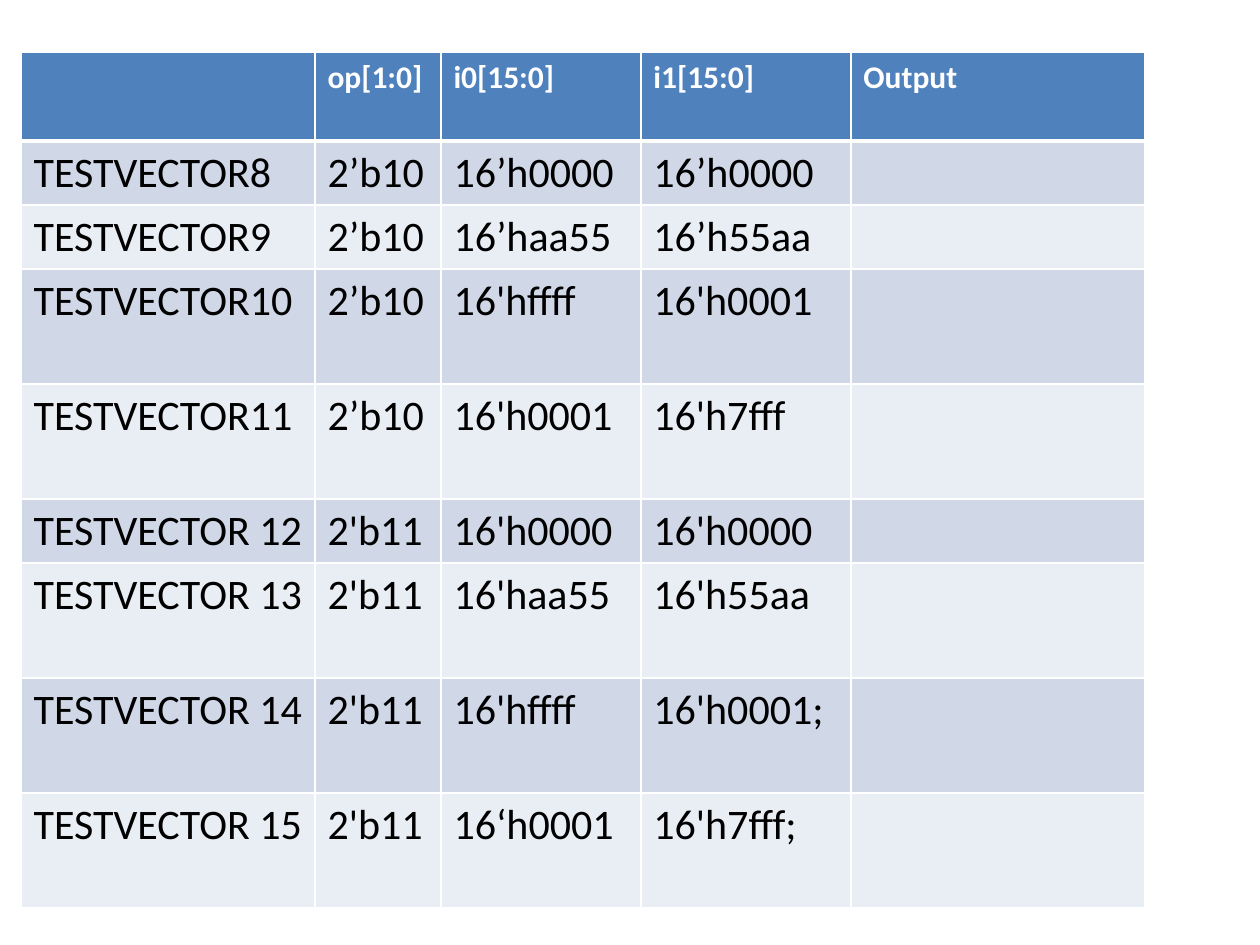
import pptx
import pptx.dml.color
import pptx.oxml.ns
import pptx.util
from lxml import etree

PX = 914400 // 126
WHITE = pptx.dml.color.RGBColor(0xFF, 0xFF, 0xFF)
BLACK = pptx.dml.color.RGBColor(0x00, 0x00, 0x00)
HEADER_BLUE = pptx.dml.color.RGBColor(0x4F, 0x81, 0xBD)
BANDS = [pptx.dml.color.RGBColor(0xD0, 0xD8, 0xE8),
         pptx.dml.color.RGBColor(0xE9, 0xED, 0xF4)]


def write(frame, text, size=24, color=BLACK, bold=False):
    span = frame.paragraphs[0].add_run()
    span.text = text
    span.font.name = "Calibri"
    span.font.size = pptx.util.Pt(size)
    span.font.color.rgb = color
    span.font.bold = bold


def add_border(cell, side, color=WHITE, width=1):
    qn = pptx.oxml.ns.qn
    line = etree.SubElement(cell._tc.get_or_add_tcPr(), qn(f"a:ln{side}"),
                            w=str(pptx.util.Pt(width)))
    fill = etree.SubElement(line, qn("a:solidFill"))
    etree.SubElement(fill, qn("a:srgbClr"), val=str(color))


# Deck and page
deck = pptx.Presentation()
deck.slide_width = pptx.util.Inches(10)
deck.slide_height = pptx.util.Inches(7.5)
page = deck.slides.add_slide(deck.slide_layouts[6])

# Test vectors: name, opcode, both inputs, and an output column left to fill in
rows = [
    ["", "op[1:0]", "i0[15:0]", "i1[15:0]", "Output"],
    ["TESTVECTOR8", "2’b10", "16’h0000", "16’h0000", ""],
    ["TESTVECTOR9", "2’b10", "16’haa55", "16’h55aa", ""],
    ["TESTVECTOR10", "2’b10", "16'hffff", "16'h0001", ""],
    ["TESTVECTOR11", "2’b10", "16'h0001", "16'h7fff", ""],
    ["TESTVECTOR 12", "2'b11", "16'h0000", "16'h0000", ""],
    ["TESTVECTOR 13", "2'b11", "16'haa55", "16'h55aa", ""],
    ["TESTVECTOR 14", "2'b11", "16'hffff", "16'h0001;", ""],
    ["TESTVECTOR 15", "2'b11", "16‘h0001", "16'h7fff;", ""],
]
column_widths = [294, 126, 200, 210, 294]
SHORT, TALL = 64, 115
row_heights = [89, SHORT, SHORT, TALL, TALL, SHORT, TALL, TALL, TALL]

# Table grid
table = page.shapes.add_table(
    len(rows), len(column_widths), 21 * PX, 52 * PX,
    sum(column_widths) * PX, sum(row_heights) * PX).table
for column, width in zip(table.columns, column_widths):
    column.width = width * PX
for row, height in zip(table.rows, row_heights):
    row.height = height * PX

# Cells: white rules, a blue header, then alternating bands
for r, texts in enumerate(rows):
    for c, text in enumerate(texts):
        cell = table.cell(r, c)
        for side in "LRTB":
            header_rule = (r, side) in [(0, "B"), (1, "T")]
            add_border(cell, side, width=3 if header_rule else 1)
        cell.fill.solid()
        cell.fill.fore_color.rgb = BANDS[(r - 1) % 2] if r else HEADER_BLUE
        if text and r == 0:
            write(cell.text_frame, text, size=18, color=WHITE, bold=True)
        elif text:
            write(cell.text_frame, text)

deck.save("out.pptx")
